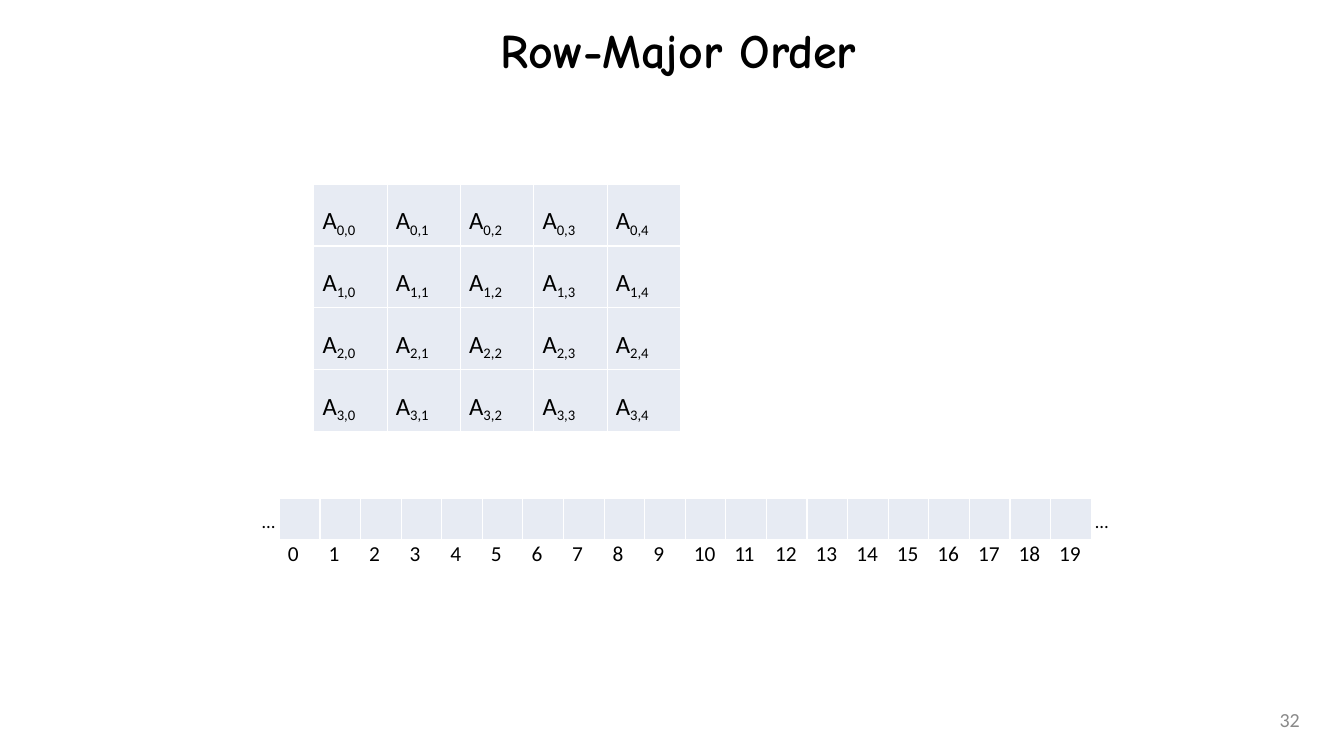
"""Build a slide showing a matrix and its row-major memory cells."""
from dataclasses import dataclass

from lxml.etree import SubElement
from pptx import Presentation
from pptx.dml.color import RGBColor
from pptx.enum.text import MSO_ANCHOR, PP_ALIGN
from pptx.oxml.ns import qn
from pptx.slide import Slide
from pptx.table import Table, _Cell
from pptx.text.text import TextFrame, _Run
from pptx.util import Inches, Pt

BLACK = RGBColor(0x00, 0x00, 0x00)
WHITE = RGBColor(0xFF, 0xFF, 0xFF)
GRAY = RGBColor(0x89, 0x89, 0x89)
PALE = RGBColor(0xE7, 0xEB, 0xF3)
FONT = "Calibri"
ROWS, COLS = 4, 5
SLOTS = ROWS * COLS


@dataclass
class Box:
    left: float
    top: float
    width: float
    height: float

    def place(self) -> tuple:
        return tuple(map(Inches, (self.left, self.top, self.width, self.height)))


@dataclass
class Label:
    text: str
    box: Box
    size: float
    color: RGBColor = BLACK
    align: PP_ALIGN = PP_ALIGN.LEFT
    anchor: MSO_ANCHOR = MSO_ANCHOR.TOP
    inset: tuple = (0, 0)


def style(run: _Run, size: float, color: RGBColor = BLACK, name: str = FONT) -> None:
    run.font.size = Pt(size)
    run.font.name = name
    run.font.color.rgb = color


def pad(frame: TextFrame, side: float, edge: float) -> None:
    frame.margin_left = frame.margin_right = Inches(side)
    frame.margin_top = frame.margin_bottom = Inches(edge)


def add_label(slide: Slide, label: Label) -> None:
    frame = slide.shapes.add_textbox(*label.box.place()).text_frame
    frame.word_wrap = True
    frame.vertical_anchor = label.anchor
    pad(frame, *label.inset)
    frame.text = label.text
    line = frame.paragraphs[0]
    line.alignment = label.align
    style(line.runs[0], label.size, label.color)


def add_grid(slide: Slide, rows: int, cols: int, box: Box) -> Table:
    table = slide.shapes.add_table(rows, cols, *box.place()).table
    table.first_row = table.horz_banding = False
    return table


def edge_cell(cell: _Cell, top: float = 1, bottom: float = 1) -> None:
    props = cell._tc.get_or_add_tcPr()
    for side, width in (("L", 1), ("R", 1), ("T", top), ("B", bottom)):
        line = SubElement(props, qn(f"a:ln{side}"), w=str(Pt(width)))
        fill = SubElement(line, qn("a:solidFill"))
        SubElement(fill, qn("a:srgbClr"), val=str(WHITE))


def fill_cell(cell: _Cell) -> None:
    cell.fill.solid()
    cell.fill.fore_color.rgb = PALE


def inset_cell(cell: _Cell, top: float) -> None:
    cell.margin_left, cell.margin_top = Inches(0.09), Inches(top)
    cell.margin_right = cell.margin_bottom = 0


def add_matrix(slide: Slide) -> None:
    table = add_grid(slide, ROWS, COLS, Box(3.27, 1.92, 3.82, 2.56))
    for row in range(ROWS):
        for col in range(COLS):
            cell = table.cell(row, col)
            edge_cell(cell)
            fill_cell(cell)
            inset_cell(cell, 0.11)
            line = cell.text_frame.paragraphs[0]
            line.text = "A"
            style(line.runs[0], 32)
            line.runs[0].font._element.set("baseline", "13000")
            index = line.add_run()
            index.text = f"{row},{col}"
            style(index, 11)


def add_memory(slide: Slide) -> None:
    table = add_grid(slide, 2, SLOTS, Box(2.91, 5.2, 8.46, 0.87))
    for slot in range(SLOTS):
        head, foot = table.cell(0, slot), table.cell(1, slot)
        edge_cell(head, bottom=3.16)
        fill_cell(head)
        edge_cell(foot, top=3.16)
        foot.fill.background()
        inset_cell(foot, 0.01)
        foot.text_frame.text = str(slot)
        run = foot.text_frame.paragraphs[0].runs[0]
        style(run, 16)
        if slot == 11:
            run.font._element.set("spc", "-120")


def add_title(slide: Slide) -> None:
    title = slide.shapes.title
    title.left, title.top, title.width, title.height = Box(1.65, 0.08, 10.83, 0.87).place()
    frame = title.text_frame
    frame.text = "Row-Major Order"
    frame.vertical_anchor = MSO_ANCHOR.MIDDLE
    pad(frame, 0.12, 0.06)
    line = frame.paragraphs[0]
    line.alignment = PP_ALIGN.CENTER
    style(line.runs[0], 36, name="Comic Neue")
    line.runs[0].font.bold = True


def main() -> None:
    deck = Presentation()
    deck.slide_width, deck.slide_height = Inches(14), Inches(7.88)
    slide = deck.slides.add_slide(deck.slide_layouts[5])
    add_title(slide)
    for left in (2.73, 11.41):
        add_label(slide, Label("…", Box(left, 5.31, 0.17, 0.24), 14))
    add_matrix(slide)
    add_memory(slide)
    add_label(slide, Label("32", Box(10.39, 7.29, 3.27, 0.42), 15, GRAY,
                           PP_ALIGN.RIGHT, MSO_ANCHOR.MIDDLE, (0.12, 0.06)))
    deck.save("out.pptx")


if __name__ == "__main__":
    main()
